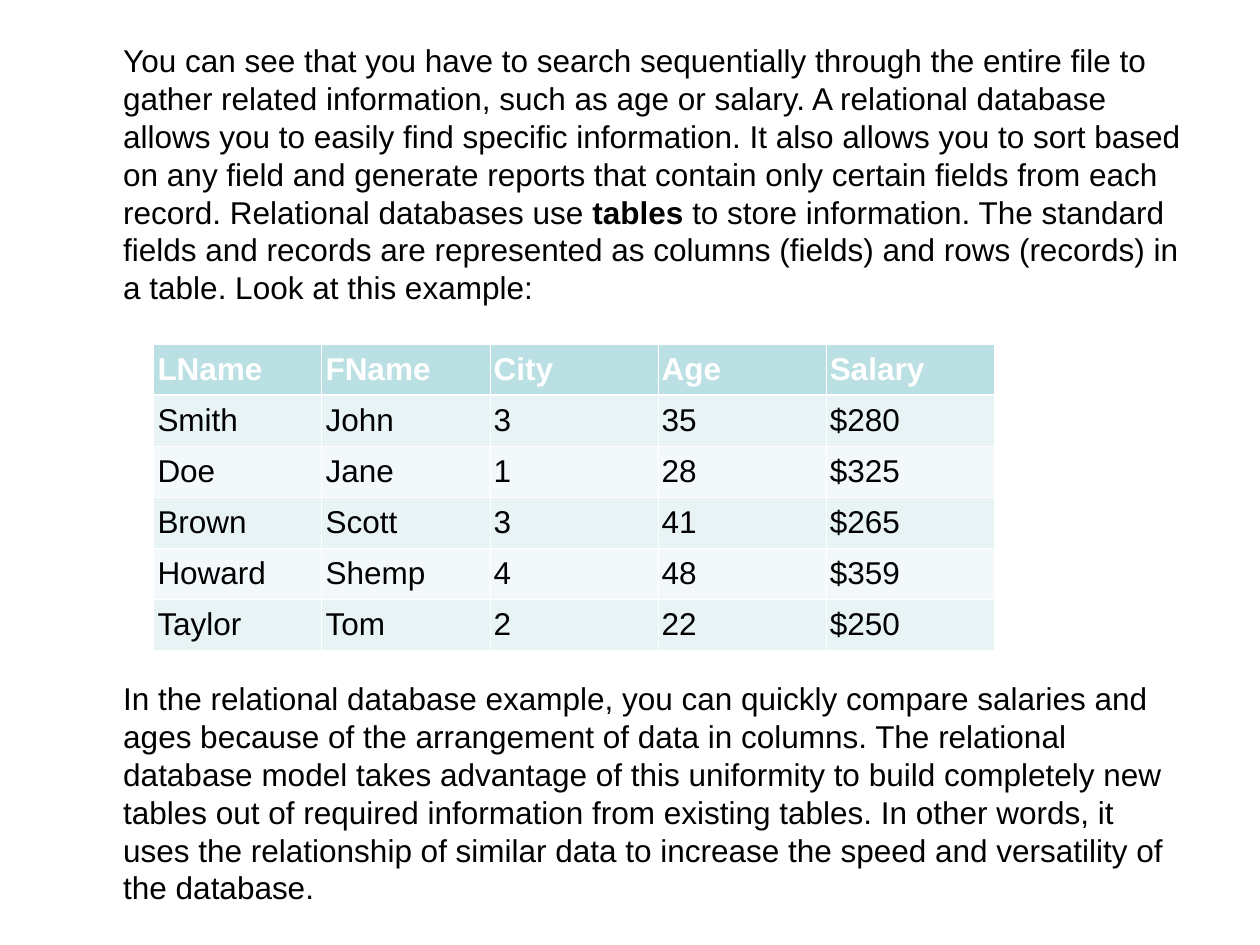
from dataclasses import dataclass

from lxml import etree
from pptx import Presentation
from pptx import util as u
from pptx.dml.color import RGBColor
from pptx.enum import text
from pptx.oxml import ns


@dataclass(frozen=True)
class Theme:
    font: str = "Arial"
    size: float = 18
    ink: str = "000000"
    paper: str = "FFFFFF"
    header: str = "BBE0E3"
    bands: tuple = ("E7F3F4", "F3F9FA")
    thin: float = 0.45
    thick: float = 1.47


def apply(target, formats):
    for name, value in formats.items():
        setattr(target, name, value)


class SlideBuilder:
    def __init__(self, deck, theme):
        self.deck = deck
        self.theme = theme
        self.slide = deck.slides.add_slide(deck.slide_layouts[6])

    def box(self, left, top, width, height):
        across, down = self.deck.slide_width, self.deck.slide_height
        return [u.Emu(round(share * side)) for share, side in
                ((left, across), (top, down), (width, across), (height, down))]

    def run(self, paragraph, wording, color, bold=False):
        run = paragraph.add_run()
        run.text = wording
        apply(run.font, {"name": self.theme.font, "size": u.Pt(self.theme.size),
                         "bold": bold})
        run.font.color.rgb = RGBColor.from_string(color)

    def prose(self, area, passages, indent, line):
        frame = self.slide.shapes.add_textbox(*self.box(*area)).text_frame
        frame.word_wrap = True
        for index, (space, pieces) in enumerate(passages):
            paragraph = frame.paragraphs[0] if index == 0 else frame.add_paragraph()
            apply(paragraph, {"space_before": u.Pt(space), "line_spacing": u.Pt(line)})
            paragraph._p.get_or_add_pPr().set("marL", str(u.Inches(indent)))
            for wording, bold in pieces:
                self.run(paragraph, wording, self.theme.ink, bold)

    def borders(self, cell, widths):
        properties = cell._tc.get_or_add_tcPr()
        for position, (side, width) in enumerate(widths.items()):
            edge = etree.Element(ns.qn(f"a:ln{side}"), w=str(u.Pt(width)))
            fill = etree.SubElement(edge, ns.qn("a:solidFill"))
            etree.SubElement(fill, ns.qn("a:srgbClr"), val=self.theme.paper)
            properties.insert(position, edge)

    def table(self, area, records):
        theme = self.theme
        grid = self.slide.shapes.add_table(
            len(records), len(records[0]), *self.box(*area)).table
        for row, record in enumerate(records):
            heading = row == 0
            fill = theme.header if heading else theme.bands[(row - 1) % 2]
            for column, wording in enumerate(record):
                cell = grid.cell(row, column)
                apply(cell, {"margin_left": u.Inches(0.03),
                             "margin_right": u.Inches(0.03),
                             "vertical_anchor": text.MSO_ANCHOR.MIDDLE})
                cell.fill.solid()
                cell.fill.fore_color.rgb = RGBColor.from_string(fill)
                self.borders(cell, {
                    "L": theme.thin, "R": theme.thin,
                    "T": theme.thick if row == 1 else theme.thin,
                    "B": theme.thick if heading else theme.thin})
                self.run(cell.text_frame.paragraphs[0], wording,
                         theme.paper if heading else theme.ink, heading)


INTRODUCTION = [
    ("You can see that you have to search sequentially through the entire file to "
     "gather related information, such as age or salary. A relational database "
     "allows you to easily find specific information. It also allows you to sort "
     "based on any field and generate reports that contain only certain fields from "
     "each record. Relational databases use ", False),
    ("tables", True),
    (" to store information. The standard fields and records are represented as "
     "columns (fields) and rows (records) in a table. Look at this example:", False),
]
CONCLUSION = [
    ("In the relational database example, you can quickly compare salaries and ages "
     "because of the arrangement of data in columns. The relational database model "
     "takes advantage of this uniformity to build completely new tables out of "
     "required information from existing tables. In other words, it uses the "
     "relationship of similar data to increase the speed and versatility of the "
     "database.", False),
]
EMPLOYEES = [
    ("LName", "FName", "City", "Age", "Salary"),
    ("Smith", "John", "3", "35", "$280"),
    ("Doe", "Jane", "1", "28", "$325"),
    ("Brown", "Scott", "3", "41", "$265"),
    ("Howard", "Shemp", "4", "48", "$359"),
    ("Taylor", "Tom", "2", "22", "$250"),
]


def main():
    deck = Presentation()
    apply(deck, {"slide_width": u.Inches(10), "slide_height": u.Inches(7.5)})
    page = SlideBuilder(deck, Theme())
    page.prose((0.05, 0.28 / 7.5, 0.9, 6.93 / 7.5),
               [(4.5, INTRODUCTION), (213.3, CONCLUSION)], indent=0.38, line=21.6)
    page.table((0.122, 0.364, 0.667, 0.324), EMPLOYEES)
    deck.save("out.pptx")


if __name__ == "__main__":
    main()
